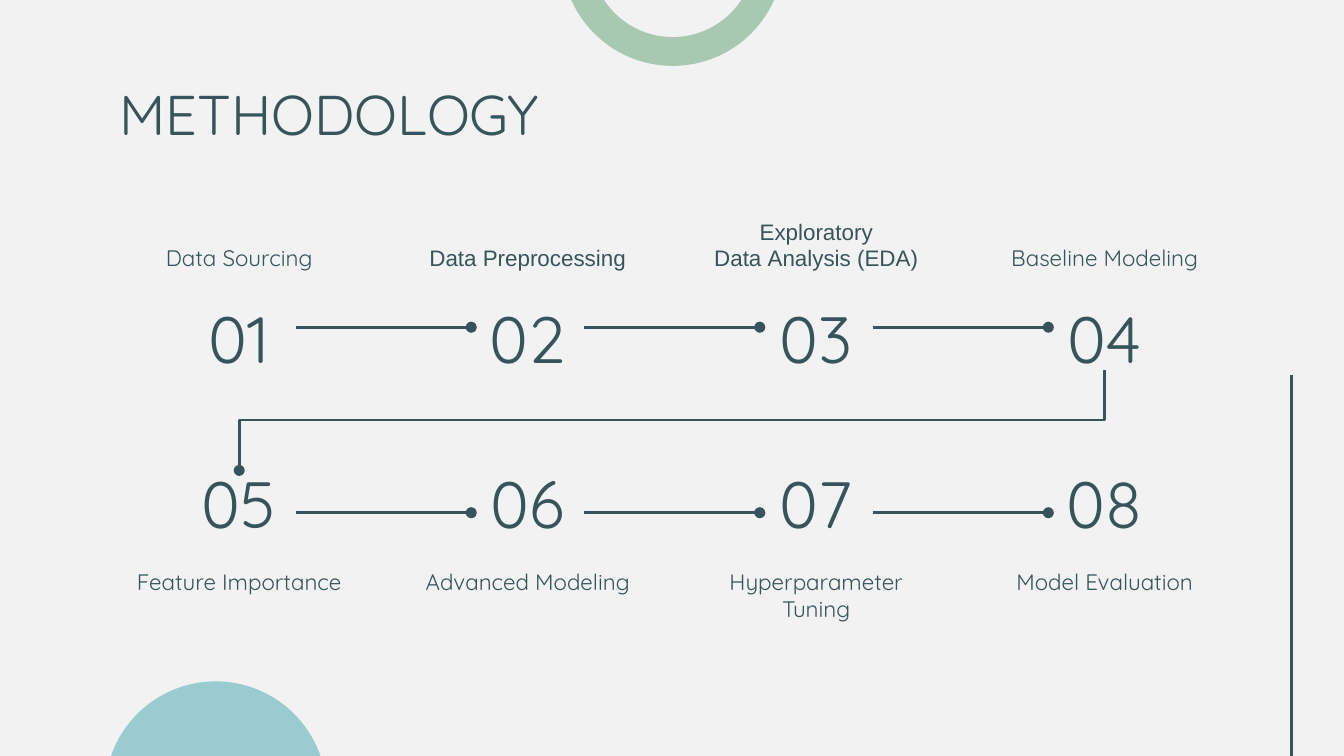
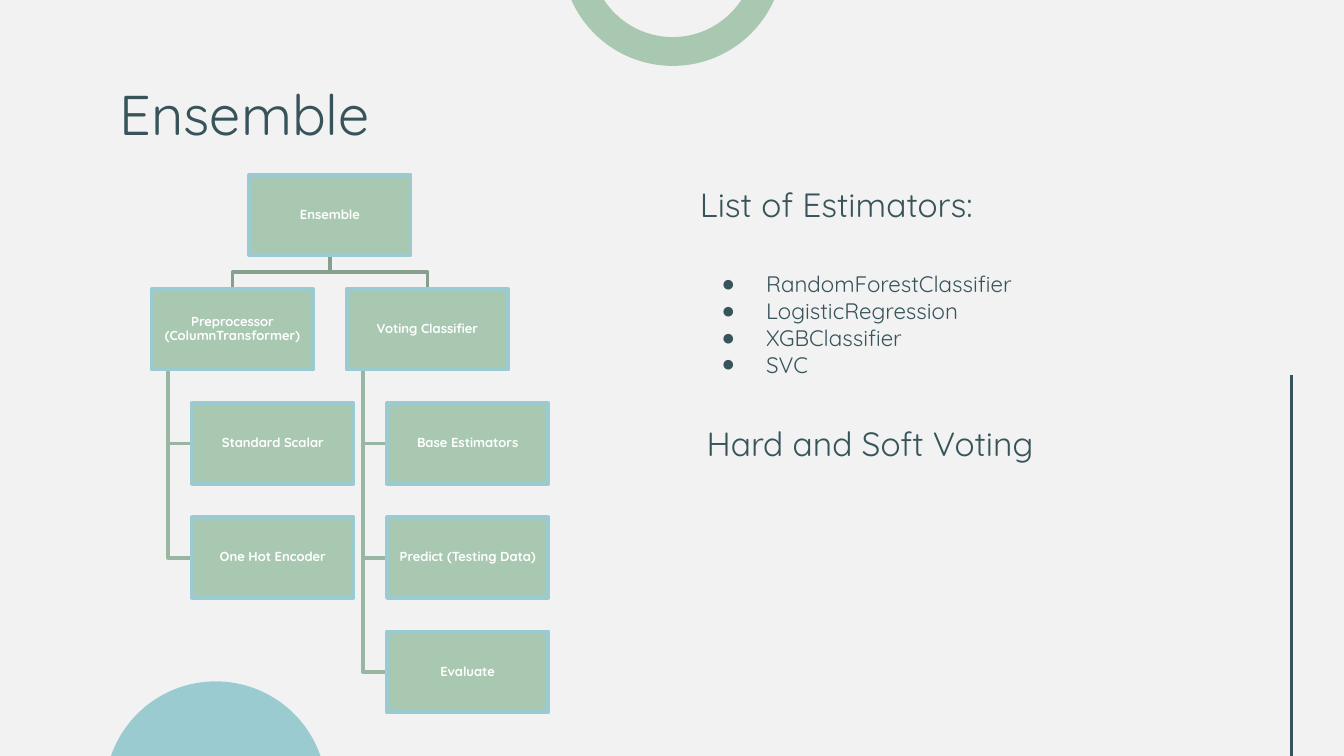
import pptx
import pptx.dml.color
import pptx.enum.shapes
import pptx.enum.text
import pptx.oxml
import pptx.oxml.ns
import pptx.util

Inches = pptx.util.Inches
Pt = pptx.util.Pt
SHAPE = pptx.enum.shapes.MSO_SHAPE
CONNECTOR = pptx.enum.shapes.MSO_CONNECTOR
ANCHOR = pptx.enum.text.MSO_ANCHOR
ALIGN = pptx.enum.text.PP_ALIGN

INK, PAPER, WHITE = "37545A", "F2F2F2", "FFFFFF"
GREEN, AQUA = "A8C8B1", "99CBD1"
TRUNK, BRANCH = "87A08E", "98B6A1"
FONT, PLAIN_FONT = "Quicksand", "Arial"
TOP, LEFT, BOTTOM, RIGHT = range(4)
NO_BREAK_SPACE = chr(160)

STEPS = [
    [("01", "Data Sourcing", FONT),
     ("02", "Data Preprocessing", PLAIN_FONT),
     ("03", f"Exploratory Data{NO_BREAK_SPACE}Analysis (EDA)", PLAIN_FONT),
     ("04", "Baseline Modeling", FONT)],
    [("05", "Feature Importance", FONT),
     ("06", "Advanced Modeling", FONT),
     ("07", "Hyperparameter Tuning", FONT),
     ("08", "Model Evaluation", FONT)],
]
TREE = {
    "Preprocessor (ColumnTransformer)": ["Standard Scalar", "One Hot Encoder"],
    "Voting Classifier": ["Base Estimators", "Predict (Testing Data)", "Evaluate"],
}
ESTIMATORS = ["RandomForestClassifier", "LogisticRegression", "XGBClassifier", "SVC"]


def rgb(code):
    """Turn a hex string into a colour."""
    return pptx.dml.color.RGBColor.from_string(code)


def add_xml(parent, tag, **attributes):
    """Append a drawing element with the given attributes."""
    child = pptx.oxml.parse_xml(f"<a:{tag} {pptx.oxml.ns.nsdecls('a')}/>")
    for key, value in attributes.items():
        child.set(key, value)
    parent.append(child)
    return child


def place(shape, left, top, width, height):
    """Move and size a shape, in inches."""
    shape.left, shape.top = Inches(left), Inches(top)
    shape.width, shape.height = Inches(width), Inches(height)


def style_text(shape, size, color=INK, font=FONT, bold=False, align=ALIGN.LEFT,
               anchor=ANCHOR.TOP, margin=0.1):
    """Format the frame, paragraphs and runs of a shape."""
    frame = shape.text_frame
    frame.word_wrap = True
    frame.auto_size = pptx.enum.text.MSO_AUTO_SIZE.NONE
    frame.vertical_anchor = anchor
    frame.margin_left = frame.margin_right = Inches(margin)
    frame.margin_top = frame.margin_bottom = Inches(margin)
    for paragraph in frame.paragraphs:
        paragraph.alignment = align
        paragraph.space_before = Pt(0)
        for run in paragraph.runs:
            run.font.name, run.font.size, run.font.bold = font, Pt(size), bold
            run.font.color.rgb = rgb(color)


def add_label(slide, text, left, top, width, height, size, **style):
    """Add a text box in the shared style."""
    label = slide.shapes.add_textbox(*map(Inches, (left, top, width, height)))
    label.text_frame.text = text
    style_text(label, size, **style)
    return label


def add_block(slide, kind, left, top, width, height, fill, outline=None):
    """Add a flat preset shape."""
    block = slide.shapes.add_shape(kind, *map(Inches, (left, top, width, height)))
    block.shadow.inherit = False
    block.fill.solid()
    block.fill.fore_color.rgb = rgb(fill)
    if outline:
        block.line.color.rgb, block.line.width = rgb(outline), Pt(2)
    else:
        block.line.fill.background()
    return block


def add_line(slide, kind, start=(0, 0), end=(0, 0), dot=False):
    """Add a flat dark connector, with a dot at its end if asked."""
    line = slide.shapes.add_connector(kind, *map(Inches, (*start, *end)))
    line.line.color.rgb, line.line.width = rgb(INK), Pt(1.5)
    if dot:
        add_xml(line.line._get_or_add_ln(), "tailEnd", type="oval")
    add_xml(line.element.spPr, "effectLst")
    return line


def decorate_master(presentation, slide):
    """Give the master its background, ring, disc and side line."""
    master = presentation.slide_master
    master.background.fill.solid()
    master.background.fill.fore_color.rgb = rgb(PAPER)
    ring = add_block(slide, SHAPE.BLOCK_ARC, 4.18, -1.16, 1.65, 1.65, GREEN)
    ring.rotation = 180
    for index, value in enumerate((102.3, 215.81, 0.13)):
        ring.adjustments[index] = value
    disc = add_block(slide, SHAPE.OVAL, 0.78, 5.07, 1.65, 1.65, AQUA)
    side = add_line(slide, CONNECTOR.STRAIGHT, (9.61, 2.79), (9.61, 5.63))
    for number, part in enumerate((ring, disc, side), start=20):
        part.element.xpath(".//p:cNvPr")[0].set("id", str(number))
        master.shapes.element.append(part.element)


def add_title(slide, text):
    """Fill and format the title placeholder."""
    title = slide.shapes.title
    title.text_frame.text = text
    place(title, 0.79, 0.49, 8.43, 0.63)
    style_text(title, 30)


def join(slide, source, source_side, target, target_side, kind=CONNECTOR.STRAIGHT):
    """Connect two boxes with a dotted line."""
    link = add_line(slide, kind, dot=True)
    link.begin_connect(source, source_side)
    link.end_connect(target, target_side)
    return link


def join_rows(slide, last, first):
    """Run an elbow down from the last step of a row to the first of the next."""
    link = join(slide, last, BOTTOM, first, TOP, CONNECTOR.ELBOW)
    span, drop = link.width, link.height
    center_x, center_y = link.left + span // 2, link.top + drop // 2
    link.left, link.top = center_x - drop // 2, center_y - span // 2
    link.width, link.height = drop, span
    frame = link.element.spPr.xfrm
    frame.flipH, frame.rot = False, 90


def draw_steps(slide, left, top, width, height):
    """Lay out two rows of numbered steps, captions outside, joined in order."""
    caption_width, number_width, row_height = 1.98, 0.84, 0.63
    pitch = (width - caption_width) / (len(STEPS[0]) - 1)
    inset = (caption_width - number_width) / 2
    bottom = top + height - row_height
    rows = [(top, top + row_height, ANCHOR.BOTTOM, ANCHOR.TOP),
            (bottom, bottom - row_height, ANCHOR.TOP, ANCHOR.BOTTOM)]
    numbers = []
    for steps, (caption_top, number_top, caption_anchor, number_anchor) in zip(STEPS, rows):
        row = []
        for column, (number, caption, font) in enumerate(steps):
            x = left + column * pitch
            add_label(slide, caption, x, caption_top, caption_width, row_height, 12,
                      font=font, align=ALIGN.CENTER, anchor=caption_anchor)
            row.append(add_label(slide, number, x + inset, number_top, number_width,
                                 row_height, 35, align=ALIGN.CENTER, anchor=number_anchor))
        for source, target in zip(row, row[1:]):
            join(slide, source, RIGHT, target, LEFT)
        numbers.append(row)
    join_rows(slide, numbers[0][-1], numbers[1][0])


def add_path(slide, points, color):
    """Draw an open line through points given in inches."""
    start, *rest = [(Inches(x), Inches(y)) for x, y in points]
    builder = slide.shapes.build_freeform(*start, scale=1.0)
    builder.add_line_segments(rest, close=False)
    path = builder.convert_to_shape()
    path.shadow.inherit = False
    path.fill.background()
    path.line.color.rgb, path.line.width = rgb(color), Pt(2)


def draw_tree(slide, left, top):
    """Draw the root, its branches and their hanging leaves."""
    node_width, node_height, level, pitch = 1.2, 0.6, 0.85, 1.45
    indent, spine = 0.3, 0.12
    root_left = left + pitch * (len(TREE) - 1) / 2
    root_x, root_bottom = root_left + node_width / 2, top + node_height
    branch_top = top + level
    turn = (root_bottom + branch_top) / 2
    nodes = [("Ensemble", root_left, top)]
    for column, (branch, leaves) in enumerate(TREE.items()):
        x = left + column * pitch
        center = x + node_width / 2
        add_path(slide, [(root_x, root_bottom), (root_x, turn),
                         (center, turn), (center, branch_top)], TRUNK)
        nodes.append((branch, x, branch_top))
        for row, leaf in enumerate(leaves, start=1):
            y = branch_top + row * level
            middle = y + node_height / 2
            add_path(slide, [(x + spine, branch_top + node_height),
                             (x + spine, middle), (x + indent, middle)], BRANCH)
            nodes.append((leaf, x + indent, y))
    for text, x, y in nodes:
        node = add_block(slide, SHAPE.RECTANGLE, x, y, node_width, node_height, GREEN, AQUA)
        node.text_frame.text = text
        style_text(node, 7, WHITE, bold=True, align=ALIGN.CENTER,
                   anchor=ANCHOR.MIDDLE, margin=0)
        node.text_frame.paragraphs[0].line_spacing = 0.9


def draw_estimators(slide, left, top, width):
    """Place the estimator heading, its bulleted list and the voting heading."""
    add_label(slide, "List of Estimators:", left, top, width, 0.5, 18, anchor=ANCHOR.BOTTOM)
    estimators = slide.placeholders[1]
    estimators.text_frame.text = "\n".join(ESTIMATORS)
    place(estimators, left - 0.01, top + 0.44, width, 1.91)
    style_text(estimators, 12)
    estimators.text_frame.margin_top = Inches(0.3)
    for paragraph in estimators.text_frame.paragraphs:
        properties = paragraph._p.get_or_add_pPr()
        properties.set("marL", str(Inches(0.5)))
        properties.set("indent", str(Inches(-0.33)))
        add_xml(add_xml(properties, "buClr"), "srgbClr", val=INK)
        add_xml(properties, "buFont", typeface=PLAIN_FONT)
        add_xml(properties, "buChar", char="●")
    add_label(slide, "Hard and Soft Voting", left + 0.05, top + 1.78, width, 0.5, 18,
              anchor=ANCHOR.BOTTOM)


def build_methodology(slide):
    """Build the methodology slide."""
    add_title(slide, "METHODOLOGY")
    draw_steps(slide, 0.79, 1.49, 8.42, 3.27)


def build_ensemble(slide):
    """Build the ensemble slide."""
    add_title(slide, "Ensemble")
    draw_tree(slide, 1.13, 1.3)
    draw_estimators(slide, 5.11, 1.27, 4.1)


def main():
    """Build and save the presentation."""
    presentation = pptx.Presentation()
    presentation.slide_width = Inches(10)
    presentation.slide_height = Inches(10) * 9 // 16
    layouts = presentation.slide_layouts
    methodology = presentation.slides.add_slide(layouts.get_by_name("Title Only"))
    ensemble = presentation.slides.add_slide(layouts.get_by_name("Title and Content"))
    decorate_master(presentation, methodology)
    build_methodology(methodology)
    build_ensemble(ensemble)
    presentation.save("out.pptx")


if __name__ == "__main__":
    main()
